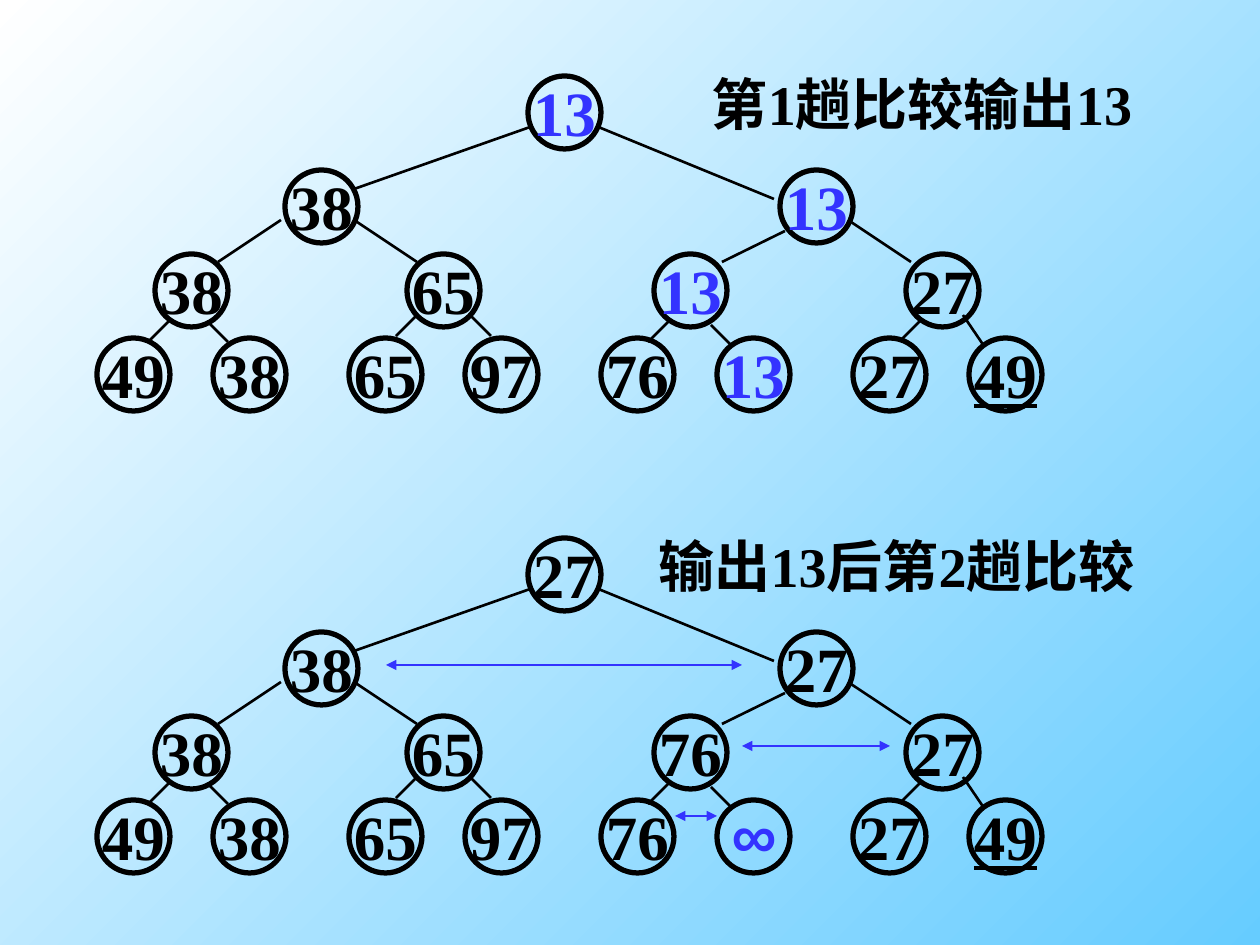
from lxml import etree
from pptx import Presentation
from pptx.dml.color import RGBColor
from pptx.enum.shapes import MSO_CONNECTOR, MSO_SHAPE
from pptx.enum.text import MSO_AUTO_SIZE, PP_ALIGN
from pptx.oxml.ns import qn
from pptx.util import Emu, Pt

OVAL = MSO_SHAPE.OVAL
STRAIGHT = MSO_CONNECTOR.STRAIGHT
GROW = MSO_AUTO_SIZE.SHAPE_TO_FIT_TEXT
LEFT, CENTER = PP_ALIGN.LEFT, PP_ALIGN.CENTER
BLACK, BLUE, SKY, WHITE = "000000", "3333FF", "66CCFF", "FFFFFF"
SERIF, SANS = "Times New Roman", "Arial"
SCALE = 914400 / 126
SIZE = 73          # diameter of a node
DROP = 462         # from the first tree down to the second

# Each tree: values by level, and the values set in blue
TREES = [
    (["13", "38 13", "38 65 13 27", "49 38 65 97 76 13 27 49"], {"13"}),
    (["27", "38 27", "38 65 76 27", "49 38 65 97 76 ∞ 27 49"], {"∞"}),
]
# Top of each level and the left side of its nodes
LEVELS = [
    (76, [528]),
    (170, [285, 780]),
    (254, [155, 407, 654, 906]),
    (338, [97 + 252 * pair + 116 * side for pair in range(4) for side in range(2)]),
]
EDGES = [
    (533, 126, 354, 189), (596, 126, 774, 199),
    (281, 220, 218, 262), (354, 220, 417, 262),
    (785, 231, 722, 262), (848, 220, 911, 262),
    (207, 321, 228, 342), (470, 315, 491, 336),
    (711, 325, 732, 346), (963, 315, 984, 346),
    (169, 321, 148, 342), (417, 315, 396, 336),
    (669, 321, 648, 342), (921, 320, 900, 341),
]
MATCHES = [(675, 816, 717, 816), (742, 746, 890, 746), (386, 665, 742, 665)]
TITLES = [
    ("第1趟比较输出13", (679, 63, 486, 81), CENTER),
    ("输出13后第2趟比较", (646, 525, 556, 81), LEFT),
]


def px(*vals):
    return [Emu(round(val * SCALE)) for val in vals]


def color(code):
    return RGBColor.from_string(code)


def add_text(text, box, size, tint=BLACK, face=SERIF, align=CENTER, pad=(0, 0)):
    frame = slide.shapes.add_textbox(*px(*box)).text_frame
    frame.word_wrap = False
    frame.auto_size = GROW
    frame.margin_left = frame.margin_right = Pt(pad[0])
    frame.margin_top = frame.margin_bottom = Pt(pad[1])
    frame.text = text
    para = frame.paragraphs[0]
    para.alignment = align
    font = para.runs[0].font
    font.name, font.size, font.bold = face, Pt(size), True
    font.color.rgb = color(tint)
    return font


def add_node(text, left, top, tint):
    ring = slide.shapes.add_shape(OVAL, *px(left, top, SIZE, SIZE))
    ring.shadow.inherit = False
    ring.fill.background()
    ring.line.color.rgb = color(BLACK)
    ring.line.width = Pt(3)
    if text == "∞":
        return add_text(text, (left + 13, top - 4, 48, 76), 36, tint, SANS)
    return add_text(text, (left + 5, top - 2, 63, 76), 36, tint)


def add_line(ends, tint=BLACK, heads=False):
    link = slide.shapes.add_connector(STRAIGHT, *px(*ends))
    link.line.color.rgb = color(tint)
    link.line.width = Pt(1.5)
    if heads:
        line = link.line._get_or_add_ln()
        for tag in ("a:headEnd", "a:tailEnd"):
            etree.SubElement(line, qn(tag), type="triangle")
    etree.SubElement(link._element.spPr, qn("a:effectLst"))


def add_tree(rows, blues, shift):
    for row, (top, lefts) in zip(rows, LEVELS):
        for text, left in zip(row.split(), lefts):
            font = add_node(text, left, top + shift, BLUE if text in blues else BLACK)
    font.underline = True  # the last leaf is the second 49
    for x1, y1, x2, y2 in EDGES:
        add_line((x1, y1 + shift, x2, y2 + shift))


deck = Presentation()
deck.slide_width, deck.slide_height = px(1260, 945)
slide = deck.slides.add_slide(deck.slide_layouts[6])

back = slide.background.fill
back.gradient()
back.gradient_angle = 135
for stop, tint, place in zip(back.gradient_stops, (SKY, WHITE), (0, 1)):
    stop.color.rgb = color(tint)
    stop.position = place

for turn, (rows, blues) in enumerate(TREES):
    add_tree(rows, blues, turn * DROP)
for ends in MATCHES:
    add_line(ends, BLUE, heads=True)
for text, box, align in TITLES:
    add_text(text, box, 32, align=align, pad=(7.2, 3.6))

deck.save("out.pptx")
